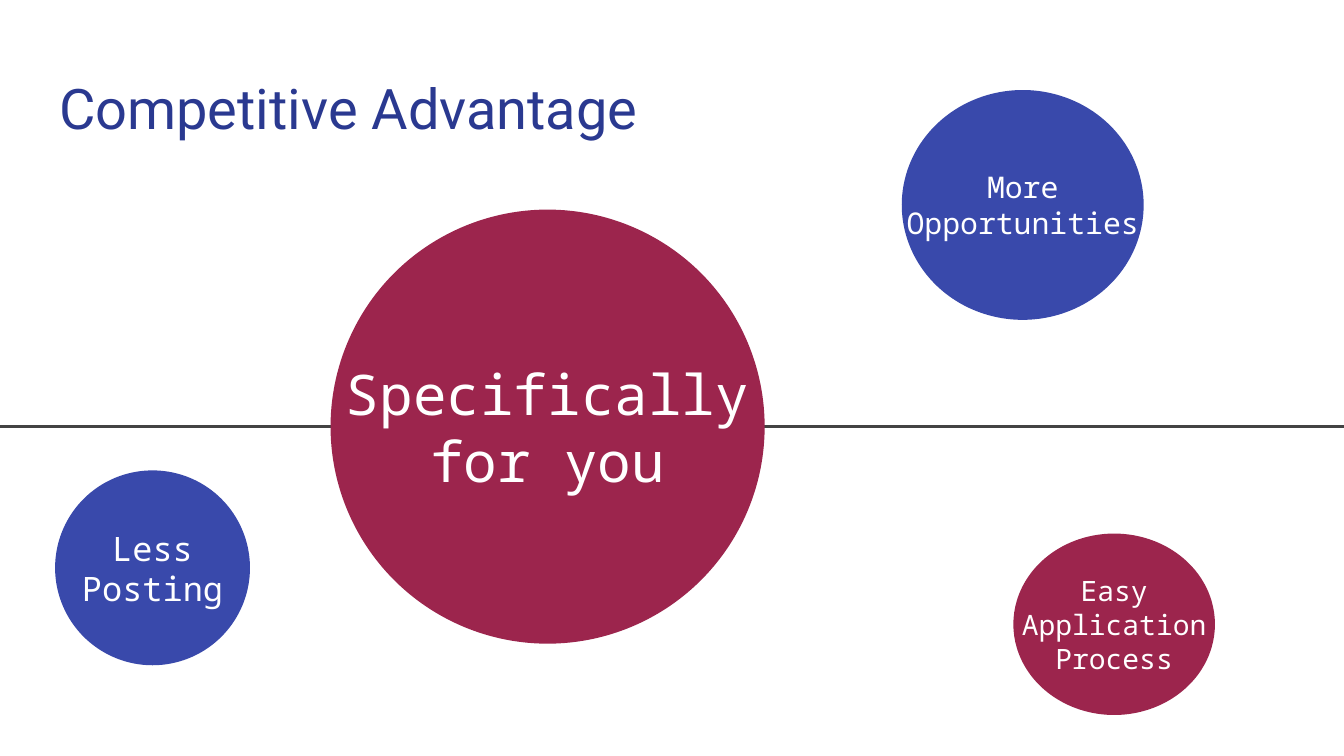
from dataclasses import dataclass

from lxml import etree
from pptx import Presentation
from pptx.dml.color import RGBColor
from pptx.enum.shapes import MSO_CONNECTOR, MSO_SHAPE
from pptx.enum.text import MSO_ANCHOR, MSO_AUTO_SIZE, PP_ALIGN
from pptx.oxml.ns import qn
from pptx.slide import Slide
from pptx.text.text import TextFrame
from pptx.util import Inches, Pt

ELLIPSE = MSO_SHAPE.OVAL
STRAIGHT = MSO_CONNECTOR.STRAIGHT
TOP, MIDDLE = MSO_ANCHOR.TOP, MSO_ANCHOR.MIDDLE
LEFT, CENTER = PP_ALIGN.LEFT, PP_ALIGN.CENTER
NO_AUTOFIT = MSO_AUTO_SIZE.NONE
TITLE_ONLY = 5
SLIDE_WIDTH = 10
SLIDE_HEIGHT = SLIDE_WIDTH * 9 / 16


@dataclass(frozen=True)
class Theme:
    title_font: str = "Roboto"
    label_font: str = "Noto Sans Mono"
    title_color: str = "2A3990"
    label_color: str = "FFFFFF"
    line_color: str = "434343"
    background: str = "FFFFFF"
    blue: str = "3949AB"
    crimson: str = "9C254D"
    title_size: int = 30
    main_size: int = 30
    large_size: int = 18
    medium_size: int = 16
    small_size: int = 15
    line_width: float = 1.5


@dataclass(frozen=True)
class Bubble:
    text: str
    left: float
    top: float
    width: float
    height: float
    fill: str
    size: int
    label_width: float
    label_height: float = 0.66


THEME = Theme()

MAIN = Bubble("Specifically for you", 2.46, 1.56, 3.23, 3.23,
              THEME.crimson, THEME.main_size, 3.23)
BUBBLES = [
    Bubble("Less Posting", 0.41, 3.5, 1.45, 1.45,
           THEME.blue, THEME.large_size, 1.45),
    MAIN,
    Bubble("More Opportunities", 6.71, 0.67, 1.8, 1.71,
           THEME.blue, THEME.medium_size, 2.14),
    Bubble("Easy Application Process", 7.54, 3.97, 1.5, 1.35,
           THEME.crimson, THEME.small_size, 1.67, 0.89),
]


def write_text(tf: TextFrame, text: str, font: str, size: int, color: str,
               anchor: MSO_ANCHOR, align: PP_ALIGN) -> None:
    """Fill a text frame with one formatted run."""
    inset = Inches(0.1)
    frame_format = {
        "word_wrap": True, "auto_size": NO_AUTOFIT, "vertical_anchor": anchor,
        "margin_left": inset, "margin_right": inset,
        "margin_top": inset, "margin_bottom": inset,
    }
    for name, value in frame_format.items():
        setattr(tf, name, value)
    p = tf.paragraphs[0]
    p.alignment = align
    r = p.add_run()
    r.text = text
    for name, value in {"name": font, "size": Pt(size), "bold": False}.items():
        setattr(r.font, name, value)
    r.font.color.rgb = RGBColor.from_string(color)


def add_title(s: Slide, text: str) -> None:
    title = s.shapes.title
    box = {"left": 0.34, "top": 0.45, "width": 9.32, "height": 0.66}
    for name, value in box.items():
        setattr(title, name, Inches(value))
    write_text(title.text_frame, text, THEME.title_font, THEME.title_size,
               THEME.title_color, TOP, LEFT)


def add_timeline(s: Slide, y: float) -> None:
    line = s.shapes.add_connector(STRAIGHT, Inches(-0.01), Inches(y),
                                  Inches(SLIDE_WIDTH), Inches(y))
    line.line.color.rgb = RGBColor.from_string(THEME.line_color)
    line.line.width = Pt(THEME.line_width)
    etree.SubElement(line._element.spPr, qn("a:effectLst"))


def add_bubble(s: Slide, b: Bubble) -> None:
    """Draw an ellipse with a label centred on it."""
    sp = s.shapes.add_shape(ELLIPSE, Inches(b.left), Inches(b.top),
                            Inches(b.width), Inches(b.height))
    sp.shadow.inherit = False
    sp.fill.solid()
    sp.fill.fore_color.rgb = RGBColor.from_string(b.fill)
    sp.line.fill.background()

    left = b.left + (b.width - b.label_width) / 2
    top = b.top + (b.height - b.label_height) / 2
    label = s.shapes.add_textbox(Inches(left), Inches(top),
                                 Inches(b.label_width), Inches(b.label_height))
    write_text(label.text_frame, b.text, THEME.label_font, b.size,
               THEME.label_color, MIDDLE, CENTER)


def main() -> None:
    prs = Presentation()
    prs.slide_width, prs.slide_height = Inches(SLIDE_WIDTH), Inches(SLIDE_HEIGHT)
    s = prs.slides.add_slide(prs.slide_layouts[TITLE_ONLY])
    s.background.fill.solid()
    s.background.fill.fore_color.rgb = RGBColor.from_string(THEME.background)

    # Title, and a line through the middle of the main bubble
    add_title(s, "Competitive Advantage")
    add_timeline(s, MAIN.top + MAIN.height / 2)

    # Advantages
    for bubble in BUBBLES:
        add_bubble(s, bubble)

    prs.save("out.pptx")


if __name__ == "__main__":
    main()
